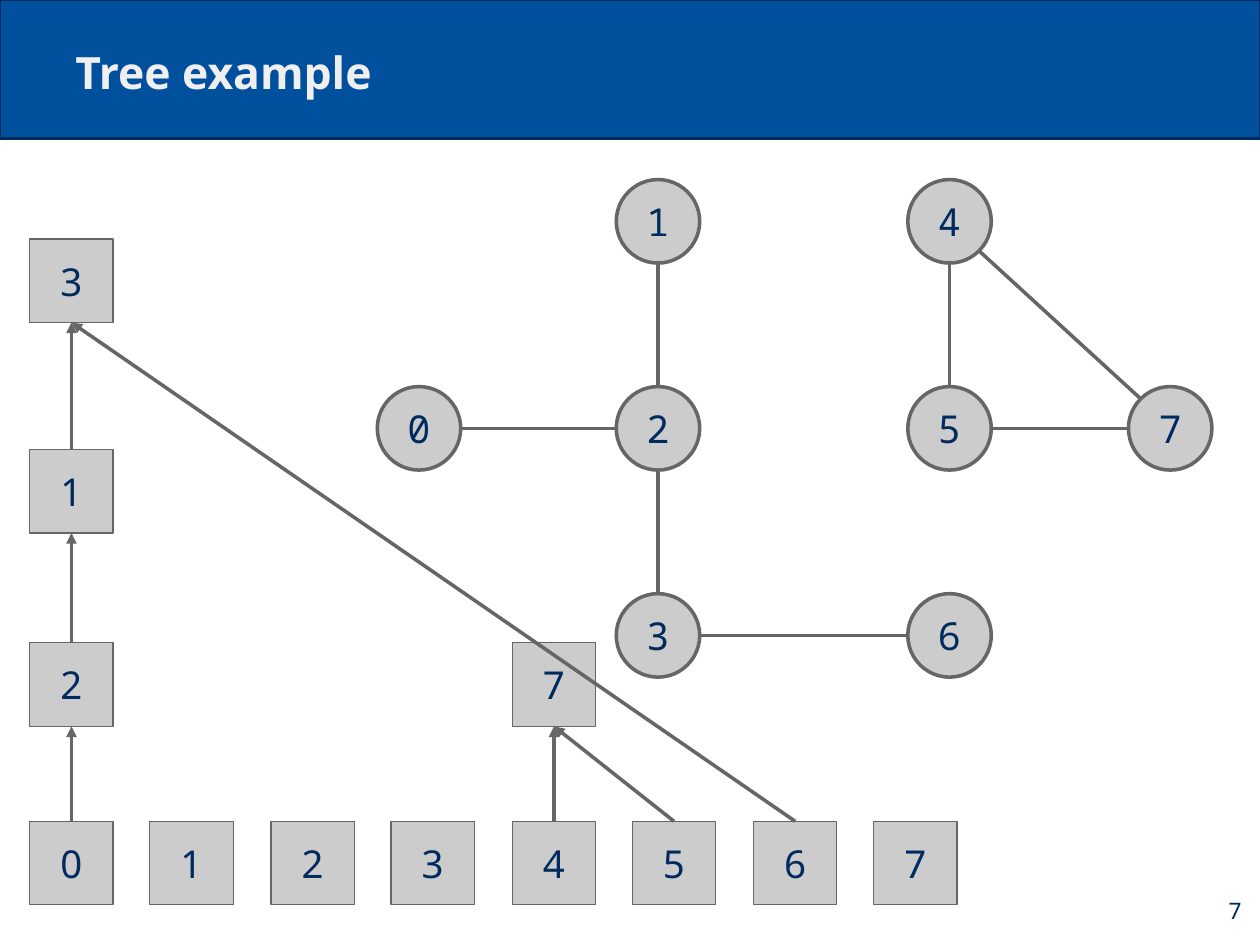
import math

import pptx
import pptx.dml.color
import pptx.enum.shapes
import pptx.enum.text
import pptx.oxml
import pptx.oxml.ns
import pptx.util
from lxml import etree

PX = 9144  # EMU in one px, 100 px to the inch
WIDTH, HEIGHT = 1102, 827
SIZE = 73  # side of a box, diameter of a circle
INSET = 11

BAND_BLUE = pptx.dml.color.RGBColor(0x01, 0x50, 0x9E)
NAVY = pptx.dml.color.RGBColor(0x00, 0x2B, 0x5E)
TITLE_WHITE = pptx.dml.color.RGBColor(0xEF, 0xEF, 0xEF)
NODE_GREY = pptx.dml.color.RGBColor(0xCC, 0xCC, 0xCC)
LINE_GREY = pptx.dml.color.RGBColor(0x66, 0x66, 0x66)

TEXT_FONT = "Noto Sans"
NODE_FONT = "Noto Sans Mono"

SHAPE = pptx.enum.shapes.MSO_SHAPE
ALIGN = pptx.enum.text.PP_ALIGN
ANCHOR = pptx.enum.text.MSO_ANCHOR

# Graph: left and top of each circle
CIRCLES = {
    0: (330, 338), 1: (539, 157), 2: (539, 338), 3: (539, 519),
    4: (794, 157), 5: (794, 338), 6: (794, 519), 7: (987, 338),
}
EDGES = [(0, 2), (1, 2), (2, 3), (3, 6), (4, 5), (4, 7), (5, 7)]

# Trees: leaves stand in a row, inner nodes above column 0 or 4
LEAF_TOP = 718
INNER_NODES = {
    "root 3": (3, 0, 209),
    "inner 1": (1, 0, 393),
    "inner 2": (2, 0, 562),
    "root 7": (7, 4, 562),
}
PARENTS = [
    ("leaf 0", "inner 2"), ("inner 2", "inner 1"), ("inner 1", "root 3"),
    ("leaf 4", "root 7"), ("leaf 5", "root 7"), ("leaf 6", "root 3"),
]


def px(*lengths):
    return [pptx.util.Emu(round(length * PX)) for length in lengths]


def write(shape, text, size, font, color, align, anchor, bold=False):
    frame = shape.text_frame
    frame.word_wrap = True
    frame.vertical_anchor = anchor
    (inset,) = px(INSET)
    frame.margin_left = frame.margin_right = inset
    frame.margin_top = frame.margin_bottom = inset
    paragraph = frame.paragraphs[0]
    paragraph.text = text
    paragraph.alignment = align
    paragraph.font.size = pptx.util.Pt(size)
    paragraph.font.name = font
    paragraph.font.bold = bold
    paragraph.font.color.rgb = color


def add_filled(slide, kind, bounds, fill, line, line_width):
    shape = slide.shapes.add_shape(kind, *px(*bounds))
    shape.shadow.inherit = False
    shape.fill.solid()
    shape.fill.fore_color.rgb = fill
    shape.line.color.rgb = line
    shape.line.width = pptx.util.Pt(line_width)
    return shape


def add_node(slide, kind, value, left, top, font, line_width):
    node = add_filled(slide, kind, (left, top, SIZE, SIZE),
                      NODE_GREY, LINE_GREY, line_width)
    write(node, str(value), 24.2, font, NAVY, ALIGN.CENTER, ANCHOR.MIDDLE)
    return node


def add_line(slide, start=(0, 0), end=(0, 0)):
    line = slide.shapes.add_connector(
        pptx.enum.shapes.MSO_CONNECTOR.STRAIGHT, *px(*start, *end))
    line.line.color.rgb = LINE_GREY
    line.line.width = pptx.util.Pt(2.25)
    etree.SubElement(line._element.spPr, pptx.oxml.ns.qn("a:effectLst"))
    return line


def add_edge(slide, first, second):
    """Join two circles, rim to rim, along the nearest multiple of 45 degrees."""
    radius = SIZE / 2
    (x1, y1), (x2, y2) = CIRCLES[first], CIRCLES[second]
    step_x = (x2 > x1) - (x2 < x1)
    step_y = (y2 > y1) - (y2 < y1)
    reach = radius / math.hypot(step_x, step_y)
    add_line(slide,
             (x1 + radius + step_x * reach, y1 + radius + step_y * reach),
             (x2 + radius - step_x * reach, y2 + radius - step_y * reach))


def add_parent_arrow(slide, child, parent):
    arrow = add_line(slide)
    arrow.begin_connect(child, 0)
    arrow.end_connect(parent, 2)
    outline = arrow.line._get_or_add_ln()
    etree.SubElement(outline, pptx.oxml.ns.qn("a:tailEnd"), type="triangle")


def add_text(slide, bounds, *style, **options):
    write(slide.shapes.add_textbox(*px(*bounds)), *style, **options)


def column_left(column):
    return 26 + column * 211 // 2


def main():
    presentation = pptx.Presentation()
    presentation.slide_width, presentation.slide_height = px(WIDTH, HEIGHT)
    slide = presentation.slides.add_slide(presentation.slide_layouts[6])

    # Title band
    add_filled(slide, SHAPE.RECTANGLE, (0, 0, WIDTH, 121), BAND_BLUE, NAVY, 1.5)
    add_text(slide, (55, 24, 992, 73), "Tree example", 28, TEXT_FONT,
             TITLE_WHITE, ALIGN.LEFT, ANCHOR.BOTTOM, bold=True)

    # Graph
    for value, (left, top) in CIRCLES.items():
        add_node(slide, SHAPE.OVAL, value, left, top, NODE_FONT, 2.25)
    for first, second in EDGES:
        add_edge(slide, first, second)

    # Trees
    places = {f"leaf {value}": (value, value, LEAF_TOP) for value in range(8)}
    places.update(INNER_NODES)
    boxes = {
        name: add_node(slide, SHAPE.RECTANGLE, value, column_left(column), top,
                       TEXT_FONT, 0.75)
        for name, (value, column, top) in places.items()
    }
    for child, parent in PARENTS:
        add_parent_arrow(slide, boxes[child], boxes[parent])

    # Page number
    add_text(slide, (1031, 764, 66, 63), "7", 14.3, TEXT_FONT,
             NAVY, ALIGN.RIGHT, ANCHOR.MIDDLE)

    presentation.save("out.pptx")


if __name__ == "__main__":
    main()
